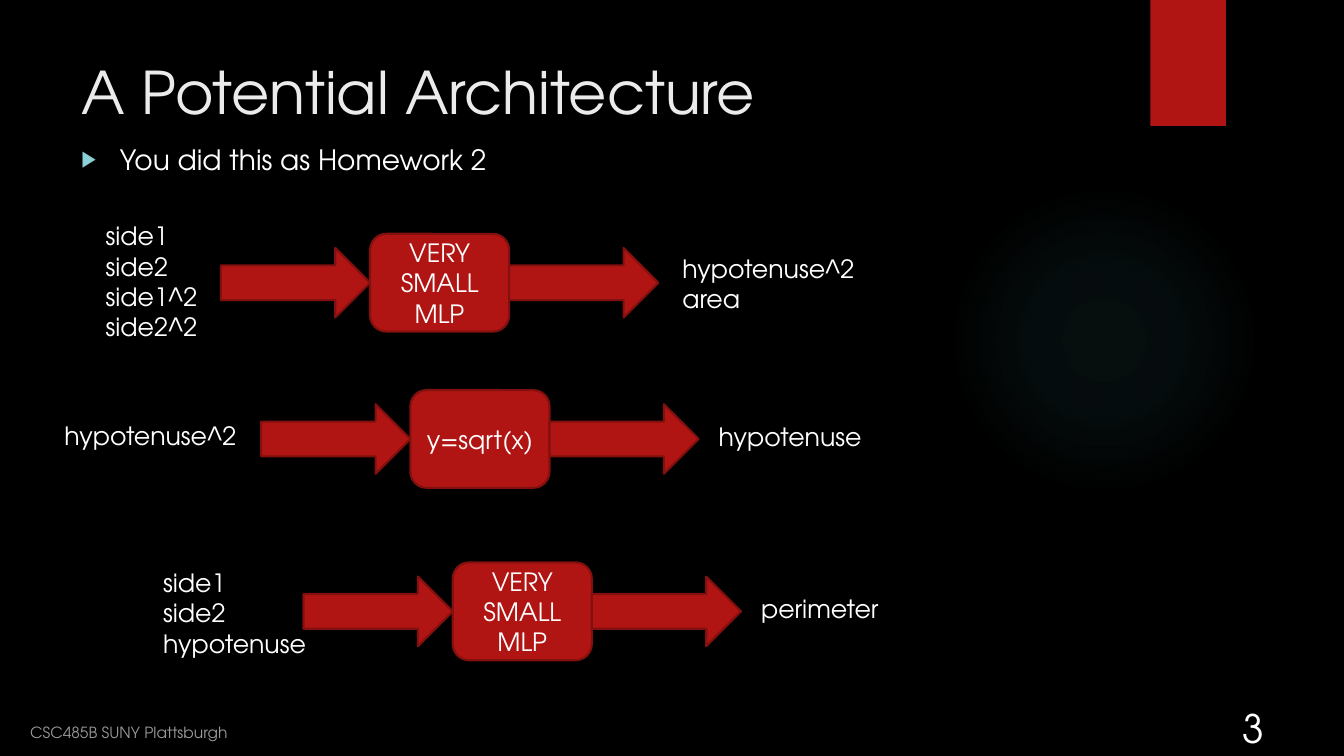
from lxml import etree
from pptx import Presentation
from pptx.dml.color import RGBColor
from pptx.enum import shapes, text
from pptx.oxml import parse_xml
from pptx.oxml.ns import nsdecls, qn
from pptx.util import Inches, Pt

BLACK = RGBColor(0x00, 0x00, 0x00)
WHITE = RGBColor(0xFF, 0xFF, 0xFF)
TITLE_GRAY = RGBColor(0xEB, 0xEB, 0xEB)
FOOTER_GRAY = RGBColor(0x99, 0x99, 0x99)
RED = RGBColor(0xB0, 0x15, 0x13)
DARK_RED = RGBColor(0x82, 0x10, 0x0E)
BULLET_BLUE = RGBColor(0x8A, 0xD0, 0xD6)
GLOW_TEAL = RGBColor(0x50, 0xB9, 0xC1)
FONT = "TeX Gyre Adventor"

NODE_WIDTH, NODE_HEIGHT = 1.38, 0.97
ARROW_WIDTH, ARROW_HEIGHT = 1.48, 0.69

# Each pipeline: node corner, node lines, input box and lines, output box and lines
PIPELINES = [
    ((3.67, 2.32), ["VERY SMALL", "MLP"],
     (0.95, 2.14, 1.14, 1.62), ["side1", "side2", "side1^2", "side2^2"],
     (6.67, 2.46, 1.96, 0.71), ["hypotenuse^2", "area"]),
    ((4.07, 3.87), ["y=sqrt(x)"],
     (0.54, 4.12, 1.96, 0.4), ["hypotenuse^2"],
     (7.03, 4.13, 1.65, 0.4), ["hypotenuse"]),
    ((4.49, 5.58), ["VERY SMALL MLP"],
     (1.52, 5.58, 1.65, 1.01), ["side1", "side2", "hypotenuse"],
     (7.45, 5.84, 1.39, 0.4), ["perimeter"]),
]


def write_lines(frame, lines, size=18, color=WHITE, align=text.PP_ALIGN.LEFT):
    for index, line in enumerate(lines):
        para = frame.paragraphs[0] if index == 0 else frame.add_paragraph()
        para.alignment = align
        span = para.add_run()
        span.text = line
        span.font.name = FONT
        span.font.size = Pt(size)
        span.font.color.rgb = color


def add_text(page, bounds, lines, anchor=text.MSO_ANCHOR.TOP, wrap=True, **style):
    box = page.shapes.add_textbox(*map(Inches, bounds))
    frame = box.text_frame
    frame.word_wrap = wrap
    if not wrap:
        frame.auto_size = text.MSO_AUTO_SIZE.SHAPE_TO_FIT_TEXT
    frame.vertical_anchor = anchor
    write_lines(frame, lines, **style)
    return box


def add_block(page, kind, bounds, outlined=True):
    block = page.shapes.add_shape(kind, *map(Inches, bounds))
    block.shadow.inherit = False
    block.fill.solid()
    block.fill.fore_color.rgb = RED
    if outlined:
        block.line.color.rgb = DARK_RED
        block.line.width = Pt(1.5)
    else:
        block.line.fill.background()
    return block


def add_glow(page, bounds):
    glow = add_block(page, shapes.MSO_SHAPE.OVAL, bounds, outlined=False)
    stops = "".join(
        f'<a:gs pos="{place * 1000}"><a:srgbClr val="{GLOW_TEAL}">'
        f'<a:alpha val="{alpha * 1000}"/></a:srgbClr></a:gs>'
        for place, alpha in [(0, 7), (36, 6), (69, 0)])
    gradient = parse_xml(
        f'<a:gradFill {nsdecls("a")}><a:gsLst>{stops}</a:gsLst><a:path path="circle">'
        '<a:fillToRect l="50000" t="50000" r="50000" b="50000"/></a:path></a:gradFill>')
    properties = glow.element.spPr
    properties.replace(properties.find(qn("a:solidFill")), gradient)


def add_bullet(para):
    properties = para._p.get_or_add_pPr()
    properties.set("marL", str(Inches(0.38)))
    properties.set("indent", str(-Inches(0.38)))
    bullet_color = etree.SubElement(properties, qn("a:buClr"))
    etree.SubElement(bullet_color, qn("a:srgbClr"), val=str(BULLET_BLUE))
    etree.SubElement(properties, qn("a:buSzPct"), val="80000")
    etree.SubElement(properties, qn("a:buFont"), typeface="Arial")
    etree.SubElement(properties, qn("a:buChar"), char="▶")


def add_backdrop(page):
    page.background.fill.solid()
    page.background.fill.fore_color.rgb = BLACK
    add_glow(page, (9.41, 1.83, 3.08, 3.08))
    add_block(page, shapes.MSO_SHAPE.RECTANGLE, (11.41, 0, 0.75, 1.25), outlined=False)


def add_heading(page):
    add_text(page, (0.71, 0.5, 10.29, 1.53), ["A Potential Architecture"],
             size=42, color=TITLE_GRAY)
    body = add_text(page, (0.71, 1.36, 4.65, 0.65), ["You did this as Homework 2"], size=20)
    para = body.text_frame.paragraphs[0]
    para.space_before = Pt(10)
    add_bullet(para)


def add_pipeline(page, corner, node_lines, input_box, inputs, output_box, outputs):
    left, top = corner
    node = add_block(page, shapes.MSO_SHAPE.ROUNDED_RECTANGLE,
                     (left, top, NODE_WIDTH, NODE_HEIGHT))
    node.text_frame.word_wrap = True
    node.text_frame.vertical_anchor = text.MSO_ANCHOR.MIDDLE
    write_lines(node.text_frame, node_lines, align=text.PP_ALIGN.CENTER)

    # Arrows into and out of the node, centred on its height
    arrow_top = top + (NODE_HEIGHT - ARROW_HEIGHT) / 2
    for arrow_left in (left - ARROW_WIDTH, left + NODE_WIDTH):
        add_block(page, shapes.MSO_SHAPE.RIGHT_ARROW,
                  (arrow_left, arrow_top, ARROW_WIDTH, ARROW_HEIGHT))

    add_text(page, input_box, inputs, wrap=False)
    add_text(page, output_box, outputs, wrap=False)


def add_footer(page):
    bottom = text.MSO_ANCHOR.BOTTOM
    add_text(page, (0.2, 7.08, 4.22, 0.33), ["CSC485B SUNY Plattsburgh"],
             anchor=bottom, size=11, color=FOOTER_GRAY)
    add_text(page, (11.97, 6.66, 0.92, 0.84), ["3"],
             anchor=bottom, size=28, align=text.PP_ALIGN.CENTER)


def main():
    deck = Presentation()
    deck.slide_width, deck.slide_height = Inches(13.33), Inches(7.5)
    page = deck.slides.add_slide(deck.slide_layouts[6])
    add_backdrop(page)
    add_heading(page)
    for pipeline in PIPELINES:
        add_pipeline(page, *pipeline)
    add_footer(page)
    deck.save("out.pptx")


if __name__ == "__main__":
    main()
